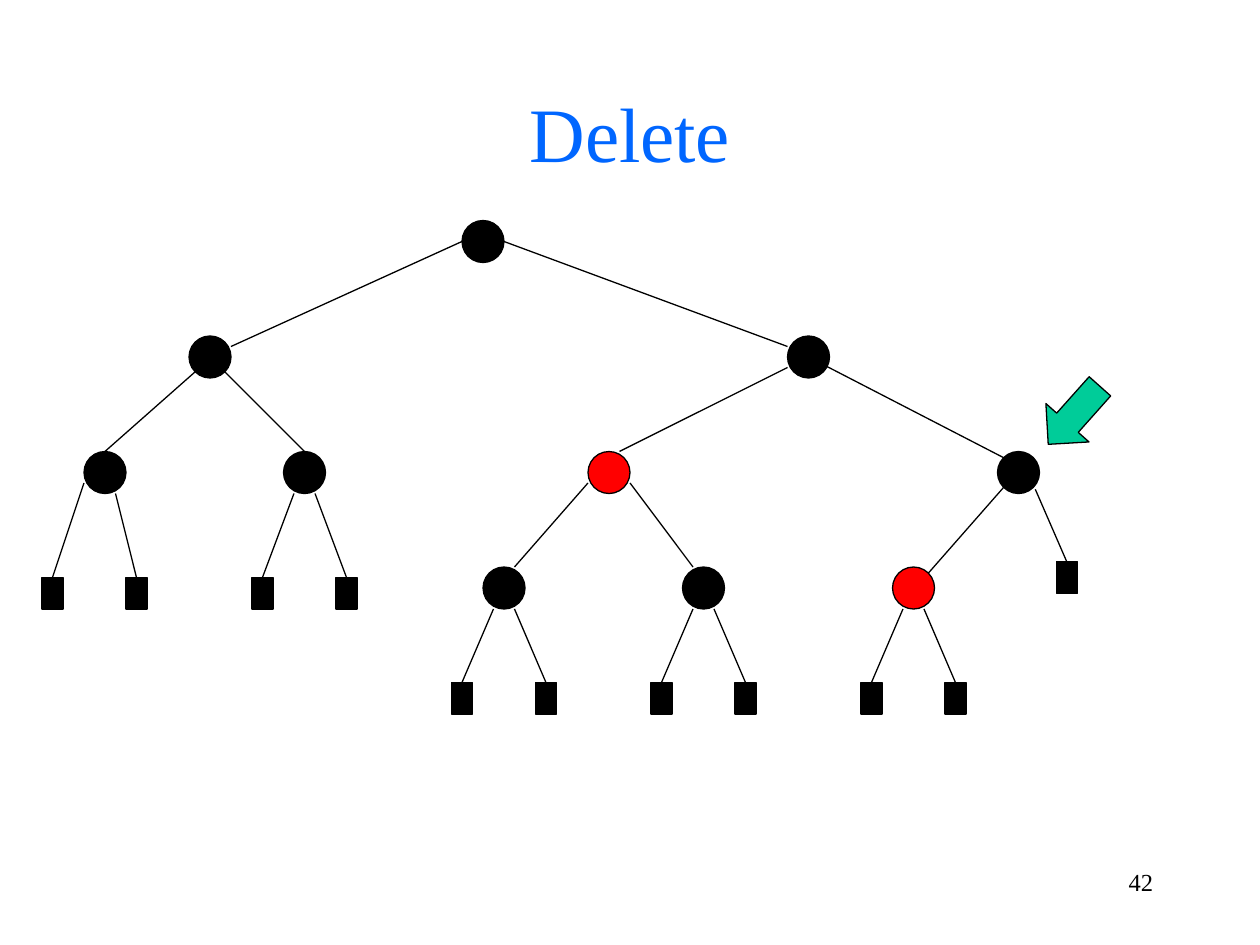
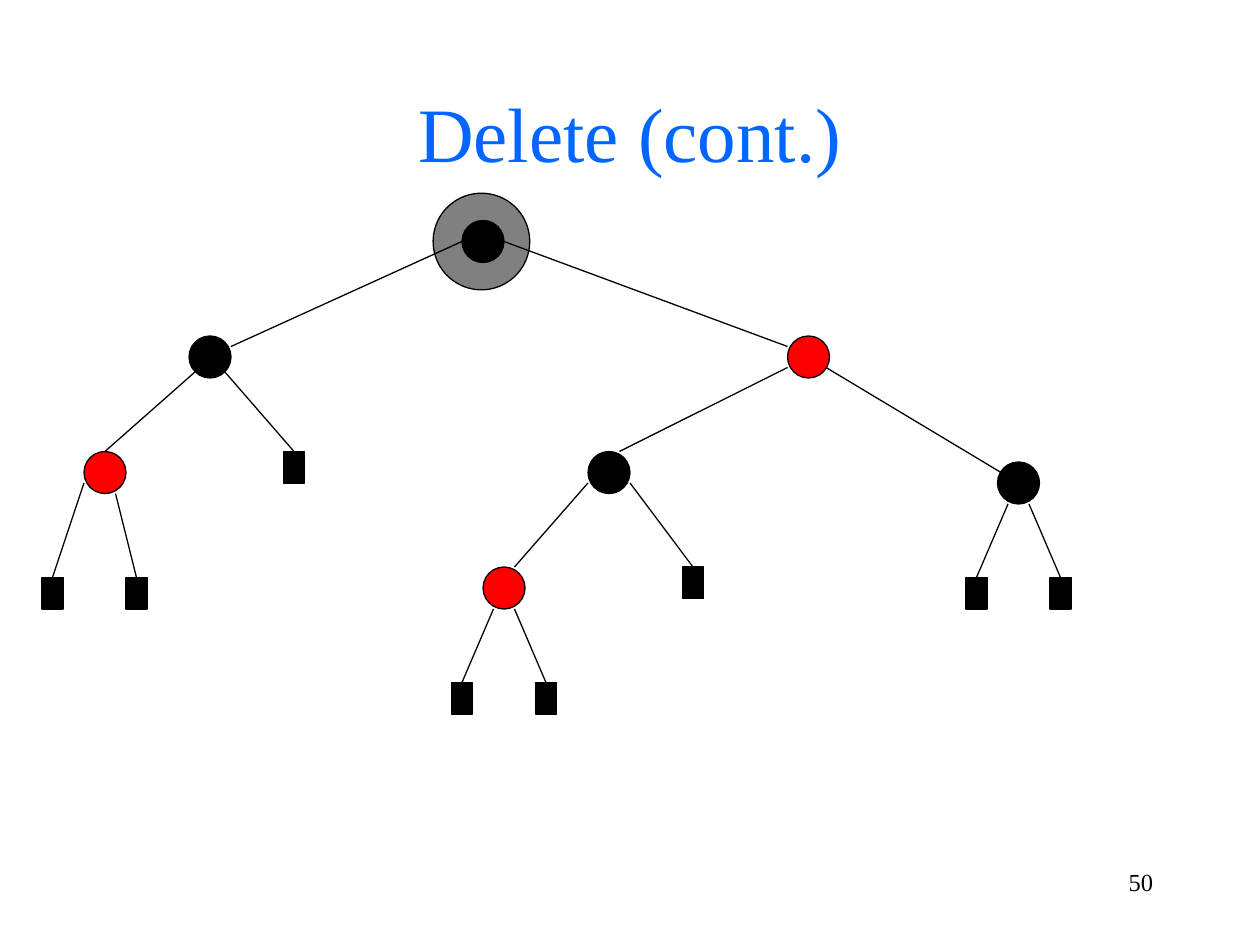
"""Builds two slides that show deletion in a red-black tree."""
from pptx import Presentation
from pptx.dml.color import RGBColor
from pptx.enum.shapes import MSO_CONNECTOR, MSO_SHAPE
from pptx.enum.text import MSO_ANCHOR, PP_ALIGN
from pptx.oxml.ns import qn
from pptx.util import Inches, Pt

CIRCLE, RECTANGLE, ARROW = MSO_SHAPE.OVAL, MSO_SHAPE.RECTANGLE, MSO_SHAPE.LEFT_ARROW
STRAIGHT = MSO_CONNECTOR.STRAIGHT
CENTER, RIGHT, MIDDLE = PP_ALIGN.CENTER, PP_ALIGN.RIGHT, MSO_ANCHOR.MIDDLE
TITLE_ONLY = 5

COLORS = {
    "title": "0066FF", "black": "000000", "red": "FF0000",
    "halo": "808080", "arrow": "00CC99",
}
FONT = "Times New Roman"
TITLE_FORMAT = {"name": FONT, "size": Pt(44), "bold": False}
NUMBER_FORMAT = {"name": FONT, "size": Pt(14)}

COLUMNS, ROWS = 120, 90
NODE, LEAF_WIDTH, LEAF_HEIGHT = 4, 2, 3

presentation = Presentation()
presentation.slide_width, presentation.slide_height = Inches(10), Inches(7.5)
COLUMN = presentation.slide_width / COLUMNS
ROW = presentation.slide_height / ROWS


def grid(left, top, width, height):
    return round(left * COLUMN), round(top * ROW), round(width * COLUMN), round(height * ROW)


def add_figure(slide, kind, color, *box):
    shape = slide.shapes.add_shape(kind, *grid(*box))
    shape.shadow.inherit = False
    shape.fill.solid()
    shape.fill.fore_color.rgb = RGBColor.from_string(COLORS[color])
    shape.line.color.rgb = RGBColor.from_string(COLORS["black"])
    shape.line.width = Pt(0.75)
    return shape


SHARED_EDGES = [
    (44, 23, 22, 33), (48, 23, 75, 33), (75, 35, 59, 43), (60, 46, 66, 54),
    (56, 46, 49, 54), (18.6, 35.4, 10, 43), (8, 46, 5, 55), (11, 47, 13, 55),
]
SHARED_LEAVES = [(4, 55), (12, 55)]

TREES = [
    {
        "title": "Delete", "number": "42",
        "halos": [],
        "nodes": {
            "black": [(44, 21), (18, 32), (75, 32), (8, 43), (27, 43),
                      (95, 43), (46, 54), (65, 54)],
            "red": [(56, 43), (85, 54)],
        },
        "leaf_parents": [(27, 43, 55), (46, 54, 65), (65, 54, 65), (85, 54, 65)],
        "leaves": [(100.6, 53.5)],
        "edges": [(21.4, 35.4, 29, 43), (77, 34, 95.6, 43.6),
                  (95.6, 46.4, 88.4, 54.6), (98.6, 46.6, 101.6, 53.5)],
        "arrows": [(98.6, 36.8, 7.4, 5.5)],
    },
    {
        "title": "Delete (cont.)", "number": "50",
        "halos": [(41.25, 18.4, 9.2, 9.2)],
        "nodes": {
            "black": [(44, 21), (18, 32), (56, 43), (95, 44)],
            "red": [(75, 32), (8, 43), (46, 54)],
        },
        "leaf_parents": [(46, 54, 65), (95, 44, 55)],
        "leaves": [(27, 43), (65, 54)],
        "edges": [(21.4, 35.4, 28, 43), (77, 34, 97, 46)],
        "arrows": [],
    },
]

for tree in TREES:
    slide = presentation.slides.add_slide(presentation.slide_layouts[TITLE_ONLY])
    title = slide.shapes.title
    title.left, title.top, title.width, title.height = grid(0, 5, COLUMNS, 15)
    number = slide.shapes.add_textbox(*grid(86, 82, 25, 6))
    number.text_frame.word_wrap = True
    title.text_frame.vertical_anchor = MIDDLE

    for shape, text, alignment, color, text_format in (
        (title, tree["title"], CENTER, "title", TITLE_FORMAT),
        (number, tree["number"], RIGHT, "black", NUMBER_FORMAT),
    ):
        paragraph = shape.text_frame.paragraphs[0]
        paragraph.alignment = alignment
        run = paragraph.add_run()
        run.text = text
        run.font.color.rgb = RGBColor.from_string(COLORS[color])
        for attribute, value in text_format.items():
            setattr(run.font, attribute, value)

    for halo in tree["halos"]:
        add_figure(slide, CIRCLE, "halo", *halo)

    edges = SHARED_EDGES + tree["edges"]
    leaves = SHARED_LEAVES + tree["leaves"]
    for left, top, leaf_top in tree["leaf_parents"]:
        for start, leaf_left in ((left + 1, left - 3), (left + 3, left + 5)):
            edges.append((start, top + NODE, leaf_left + LEAF_WIDTH / 2, leaf_top))
            leaves.append((leaf_left, leaf_top))

    for edge in edges:
        connector = slide.shapes.add_connector(STRAIGHT, *grid(*edge))
        connector.line.color.rgb = RGBColor.from_string(COLORS["black"])
        connector.line.width = Pt(0.75)
        properties = connector._element.spPr
        properties.append(properties.makeelement(qn("a:effectLst"), {}))

    for color, positions in tree["nodes"].items():
        for position in positions:
            add_figure(slide, CIRCLE, color, *position, NODE, NODE)

    for leaf in leaves:
        add_figure(slide, RECTANGLE, "black", *leaf, LEAF_WIDTH, LEAF_HEIGHT)

    for box in tree["arrows"]:
        add_figure(slide, ARROW, "arrow", *box).rotation = 311.7

presentation.save("out.pptx")
